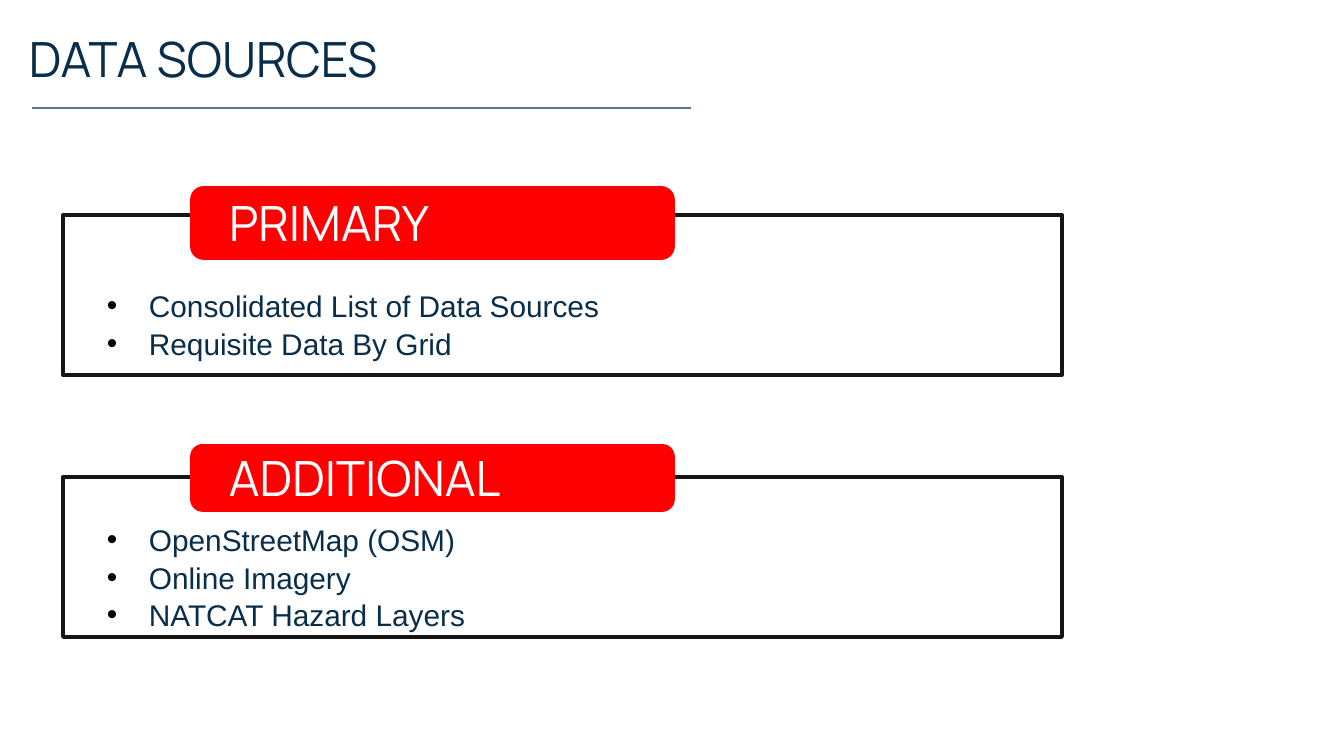
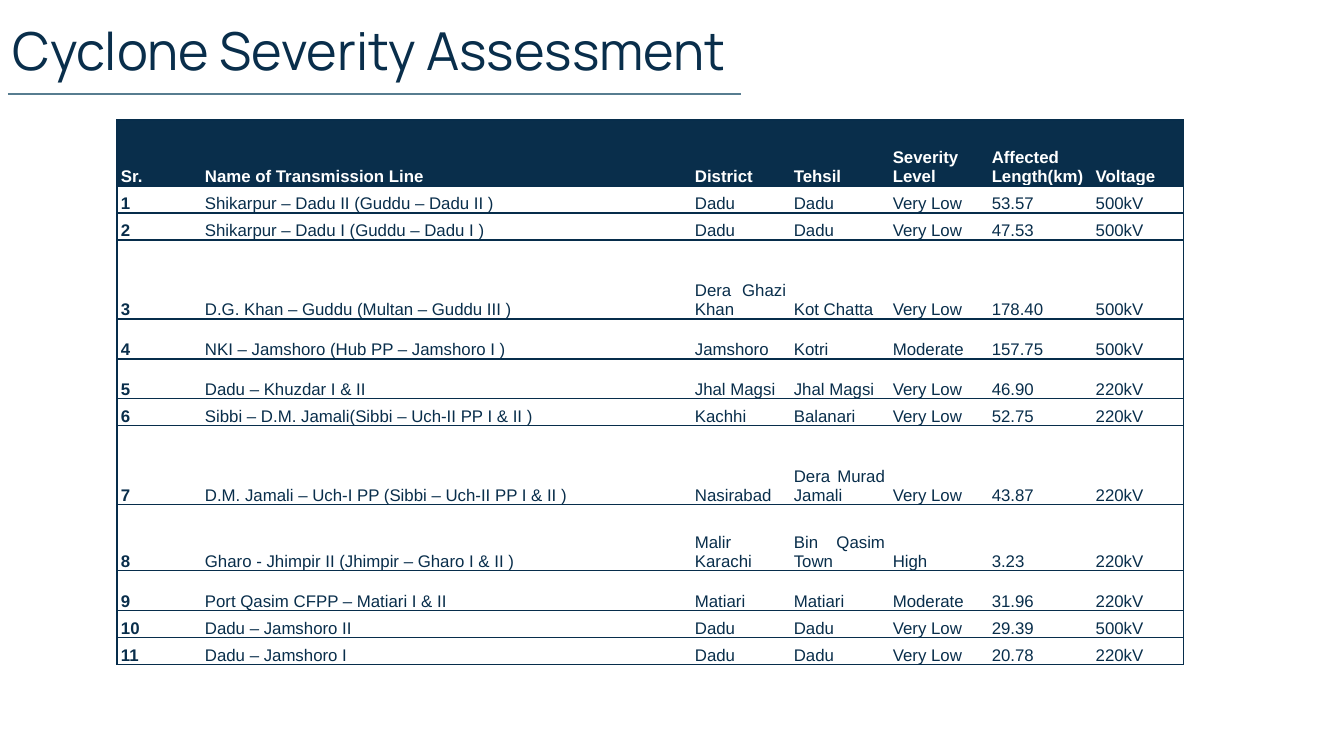
import pptx
import pptx.util
import pptx.dml.color
import pptx.enum.shapes
import pptx.enum.text
import pptx.oxml.ns
import lxml.etree as etree

RGB = pptx.dml.color.RGBColor
NAVY = RGB(0x09, 0x2E, 0x4B)
BORDER = RGB(0x07, 0x2D, 0x4B)
STEEL = RGB(0x57, 0x7D, 0x90)
INK = RGB(0x15, 0x15, 0x15)
RED = RGB(0xFF, 0x00, 0x00)
WHITE = RGB(0xFF, 0xFF, 0xFF)

HEAD_FONT, BODY_FONT = "Manrope", "Arial"
PX = 914400 / 134.4
PLAIN_TABLE = "{2D5ABB26-0587-4C30-8999-92F81FD0307C}"
SHAPES = pptx.enum.shapes.MSO_SHAPE
ALIGN = pptx.enum.text.PP_ALIGN
qn = pptx.oxml.ns.qn

COLUMNS = [84, 490, 99, 99, 99, 104, 92]
ROWS = [66, 27, 27, 79, 40, 40, 27, 79, 66, 40, 27, 27]
HEADINGS = ["Sr.", "Name of Transmission Line", "District", "Tehsil",
            "Severity Level", "Affected Length(km)", "Voltage"]
TRANSMISSION_LINES = [
    ("Shikarpur – Dadu II (Guddu – Dadu II )", "Dadu", "Dadu", "Very Low", "53.57", "500kV"),
    ("Shikarpur – Dadu I (Guddu – Dadu I )", "Dadu", "Dadu", "Very Low", "47.53", "500kV"),
    ("D.G. Khan – Guddu (Multan – Guddu III )", "Dera Ghazi Khan", "Kot Chatta",
     "Very Low", "178.40", "500kV"),
    ("NKI – Jamshoro (Hub PP – Jamshoro I )", "Jamshoro", "Kotri", "Moderate", "157.75", "500kV"),
    ("Dadu – Khuzdar I & II", "Jhal Magsi", "Jhal Magsi", "Very Low", "46.90", "220kV"),
    ("Sibbi – D.M. Jamali(Sibbi – Uch-II PP I & II )", "Kachhi", "Balanari",
     "Very Low", "52.75", "220kV"),
    ("D.M. Jamali – Uch-I PP (Sibbi – Uch-II PP I & II )", "Nasirabad", "Dera Murad Jamali",
     "Very Low", "43.87", "220kV"),
    ("Gharo - Jhimpir II (Jhimpir – Gharo I & II )", "Malir Karachi", "Bin Qasim Town",
     "High", "3.23", "220kV"),
    ("Port Qasim CFPP – Matiari I & II", "Matiari", "Matiari", "Moderate", "31.96", "220kV"),
    ("Dadu – Jamshoro II", "Dadu", "Dadu", "Very Low", "29.39", "500kV"),
    ("Dadu – Jamshoro I", "Dadu", "Dadu", "Very Low", "20.78", "220kV"),
]


def px(*lengths):
    return [pptx.util.Emu(round(n * PX)) for n in lengths]


def add_run(p, text, size, font, color, bold=False):
    r = p.add_run()
    r.text = text
    r.font.size = pptx.util.Pt(size)
    r.font.name = font
    r.font.bold = bold
    r.font.color.rgb = color


def add_text_frame(s, box):
    tf = s.shapes.add_textbox(*px(*box)).text_frame
    tf.word_wrap = True
    tf.margin_left = tf.margin_right = tf.margin_top = tf.margin_bottom = px(13)[0]
    return tf


def add_heading(s, box, text, size, color):
    add_run(add_text_frame(s, box).paragraphs[0], text, size, HEAD_FONT, color)


def add_bullets(s, box, items):
    tf = add_text_frame(s, box)
    for i, item in enumerate(items):
        p = tf.add_paragraph() if i else tf.paragraphs[0]
        p.line_spacing = 1.05
        indent = px(42)[0]
        pPr = p._p.get_or_add_pPr()
        pPr.set("marL", str(indent))
        pPr.set("indent", str(-indent))
        color = etree.SubElement(pPr, qn("a:buClr"))
        etree.SubElement(color, qn("a:srgbClr"), val="000000")
        etree.SubElement(pPr, qn("a:buFont"), typeface=BODY_FONT)
        etree.SubElement(pPr, qn("a:buChar"), char="•")
        add_run(p, item, 16, BODY_FONT, NAVY)


def add_box(s, kind, box, fill, line):
    sp = s.shapes.add_shape(kind, *px(*box))
    sp.shadow.inherit = False
    sp.fill.solid()
    sp.fill.fore_color.rgb = fill
    sp.line.color.rgb = line
    sp.line.width = pptx.util.Pt(2)


def add_title(s, box, text, size, rule):
    """Title text with a rule below it, given as left, right, y."""
    add_heading(s, box, text, size, NAVY)
    left, right, y = rule
    line = s.shapes.add_connector(pptx.enum.shapes.MSO_CONNECTOR.STRAIGHT,
                                  *px(left, y, right, y))
    line.line.color.rgb = STEEL
    line.line.width = pptx.util.Pt(1.5)
    etree.SubElement(line._element.spPr, qn("a:effectLst"))


def add_source_panel(s, top, tag, tag_span, label_box, bullets_span, items):
    """Framed list with a red tag over its top edge; spans are top, height."""
    add_box(s, SHAPES.RECTANGLE, (63, top, 999, 160), WHITE, INK)
    add_box(s, SHAPES.ROUNDED_RECTANGLE, (192, tag_span[0], 481, tag_span[1]), RED, RED)
    add_heading(s, label_box, tag, 26, WHITE)
    add_bullets(s, (94, bullets_span[0], 1046, bullets_span[1]), items)


def set_borders(cell, sides):
    tcPr = cell._tc.get_or_add_tcPr()
    for side in "LRTB":
        ln = etree.SubElement(tcPr, qn(f"a:ln{side}"), w=str(pptx.util.Pt(0.75)))
        if side in sides:
            fill = etree.SubElement(ln, qn("a:solidFill"))
            etree.SubElement(fill, qn("a:srgbClr"), val=str(BORDER))
        else:
            etree.SubElement(ln, qn("a:noFill"))


def fill_cell(cell, text, header, bold, sides):
    set_borders(cell, sides)
    if header:
        cell.fill.solid()
        cell.fill.fore_color.rgb = NAVY
    else:
        cell.fill.background()
    cell.margin_left = cell.margin_right = px(4)[0]
    cell.margin_top = cell.margin_bottom = 0
    cell.vertical_anchor = pptx.enum.text.MSO_ANCHOR.BOTTOM
    p = cell.text_frame.paragraphs[0]
    p.alignment = ALIGN.JUSTIFY
    add_run(p, text, 9, BODY_FONT, WHITE if header else NAVY, bold)


def add_severity_table(s, left, top):
    data = [HEADINGS] + [(str(n), *line) for n, line in enumerate(TRANSMISSION_LINES, 1)]
    table = s.shapes.add_table(len(ROWS), len(COLUMNS),
                               *px(left, top, sum(COLUMNS), sum(ROWS))).table
    table._tbl.tblPr.find(qn("a:tableStyleId")).text = PLAIN_TABLE
    table.horz_banding = False
    for column, width in zip(table.columns, px(*COLUMNS)):
        column.width = width
    for row, height in zip(table.rows, px(*ROWS)):
        row.height = height
    last = len(COLUMNS) - 1
    for i, values in enumerate(data):
        for j, text in enumerate(values):
            sides = "TB" + ("L" if j == 0 else "") + ("R" if j == last else "")
            fill_cell(table.cell(i, j), text, i == 0, i == 0 or j == 0, sides)


def data_sources_slide(s):
    add_title(s, (16, 16, 499, 87), "DATA SOURCES", 26, (32, 691, 108))
    add_source_panel(s, 215, "PRIMARY", (188, 70), (216, 180, 266, 83), (273, 85),
                     ["Consolidated List of Data Sources", "Requisite Data By Grid"])
    add_source_panel(s, 477, "ADDITIONAL", (446, 64), (216, 435, 400, 75), (507, 117),
                     ["OpenStreetMap (OSM)", "Online Imagery", "NATCAT Hazard Layers"])


def cyclone_severity_slide(s):
    add_title(s, (0, 5, 968, 89), "Cyclone Severity Assessment", 28, (8, 741, 94))
    add_severity_table(s, 117, 120)


def main():
    prs = pptx.Presentation()
    prs.slide_width, prs.slide_height = px(1344, 756)
    for build in (data_sources_slide, cyclone_severity_slide):
        build(prs.slides.add_slide(prs.slide_layouts[6]))
    prs.save("out.pptx")


if __name__ == "__main__":
    main()
